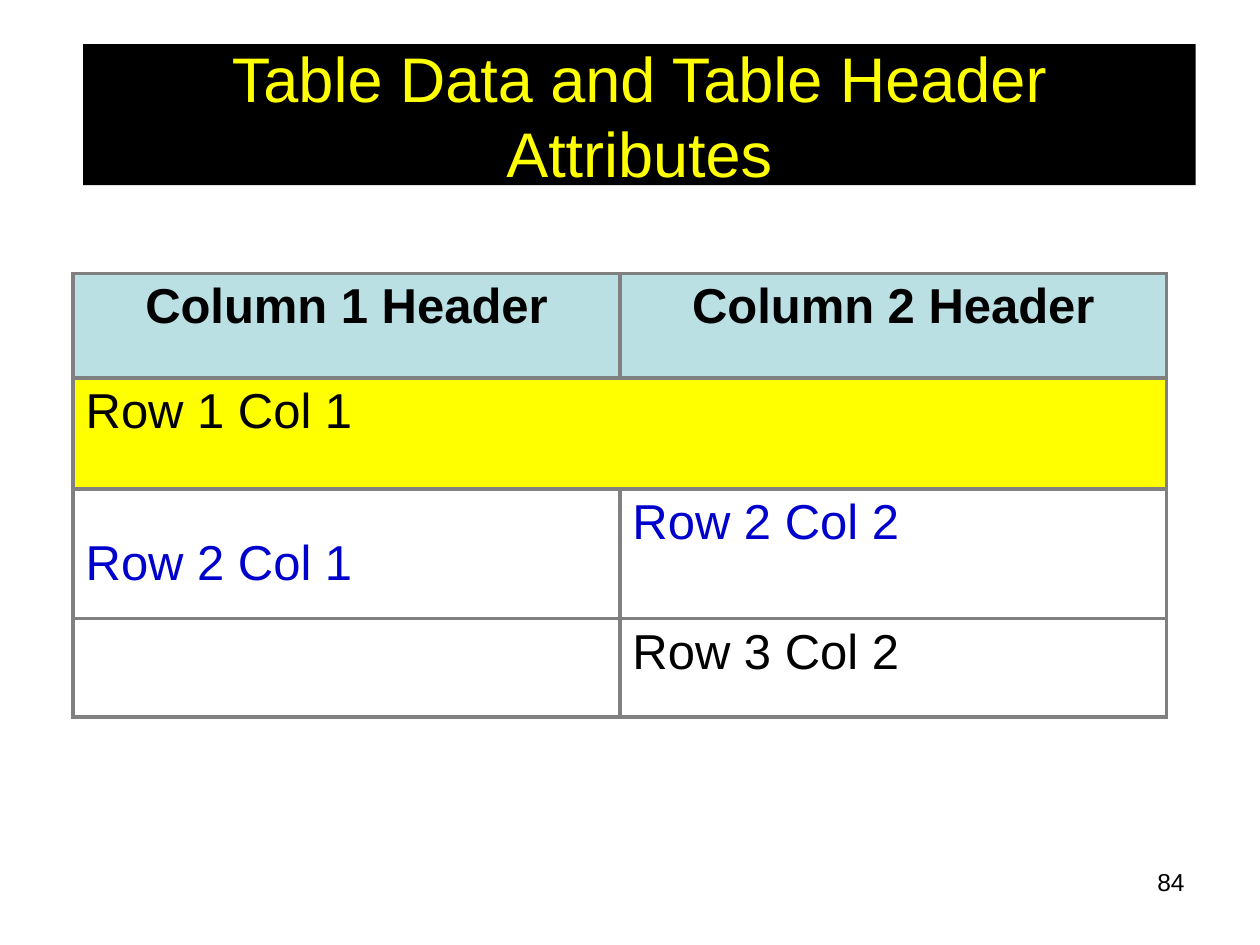
from pptx import Presentation
from pptx.dml.color import RGBColor
from pptx.enum.shapes import MSO_SHAPE
from pptx.enum.text import MSO_ANCHOR, PP_ALIGN
from pptx.oxml import parse_xml
from pptx.oxml.ns import nsdecls
from pptx.util import Inches, Pt

THEME = {
    "font": "Arial", "black": "000000", "yellow": "FFFF00", "blue": "0000CC",
    "header": "BBE0E3", "border": "808080", "border_pt": 2.25,
    "title_pt": 36, "cell_pt": 28, "number_pt": 14,
}


def write(tf, text, size, color=THEME["black"], bold=False, align=PP_ALIGN.LEFT):
    tf.word_wrap = True
    p = tf.paragraphs[0]
    p.alignment = align
    r = p.add_run()
    r.text = text
    r.font.name = THEME["font"]
    r.font.size = Pt(size)
    r.font.bold = bold
    r.font.color.rgb = RGBColor.from_string(color)


def share(x, y, w, h):
    return int(W * x), int(H * y), int(W * w), int(H * h)


prs = Presentation()
prs.slide_width, prs.slide_height = W, H = Inches(10), Inches(7.5)
s = prs.slides.add_slide(prs.slide_layouts[6])

number = s.shapes.add_textbox(*share(0.717, 0.911, 0.233, 0.069))
write(number.text_frame, "84", THEME["number_pt"], align=PP_ALIGN.RIGHT)

title = s.shapes.add_shape(MSO_SHAPE.RECTANGLE, *share(0.066, 0.0467, 0.883, 0.1493))
title.shadow.inherit = False
title.fill.solid()
title.fill.fore_color.rgb = RGBColor.from_string(THEME["black"])
title.line.fill.background()
title.text_frame.vertical_anchor = MSO_ANCHOR.MIDDLE
write(title.text_frame, "Table Data and Table Header Attributes", THEME["title_pt"],
      THEME["yellow"], align=PP_ALIGN.CENTER)

header = {"bold": True, "align": PP_ALIGN.CENTER}
blue = {"color": THEME["blue"]}
rows = [
    (0.83, THEME["header"], header, ["Column 1 Header", "Column 2 Header"]),
    (0.88, THEME["yellow"], {}, ["Row 1 Col 1", ""]),
    (1.03, None, blue, ["Row 2 Col 1", "Row 2 Col 2"]),
    (0.78, None, {}, ["", "Row 3 Col 2"]),
]
frame = s.shapes.add_table(len(rows), 2, *share(0.058, 0.2893, 0.868, 0.4693))
table = frame.table
table.first_row = table.horz_banding = False

for i, (height, fill, style, texts) in enumerate(rows):
    table.rows[i].height = Inches(height)
    for j, text in enumerate(texts):
        cell = table.cell(i, j)
        tcPr = cell._tc.get_or_add_tcPr()
        for side in "LRTB":
            tcPr.append(parse_xml(
                f'<a:ln{side} {nsdecls("a")} w="{Pt(THEME["border_pt"])}"><a:solidFill>'
                f'<a:srgbClr val="{THEME["border"]}"/></a:solidFill></a:ln{side}>'))
        if fill:
            cell.fill.solid()
            cell.fill.fore_color.rgb = RGBColor.from_string(fill)
        else:
            cell.fill.background()
        if text:
            write(cell.text_frame, text, THEME["cell_pt"], **style)

table.cell(1, 0).merge(table.cell(1, 1))
table.cell(2, 0).margin_top = Inches(0.38)

prs.save("out.pptx")
